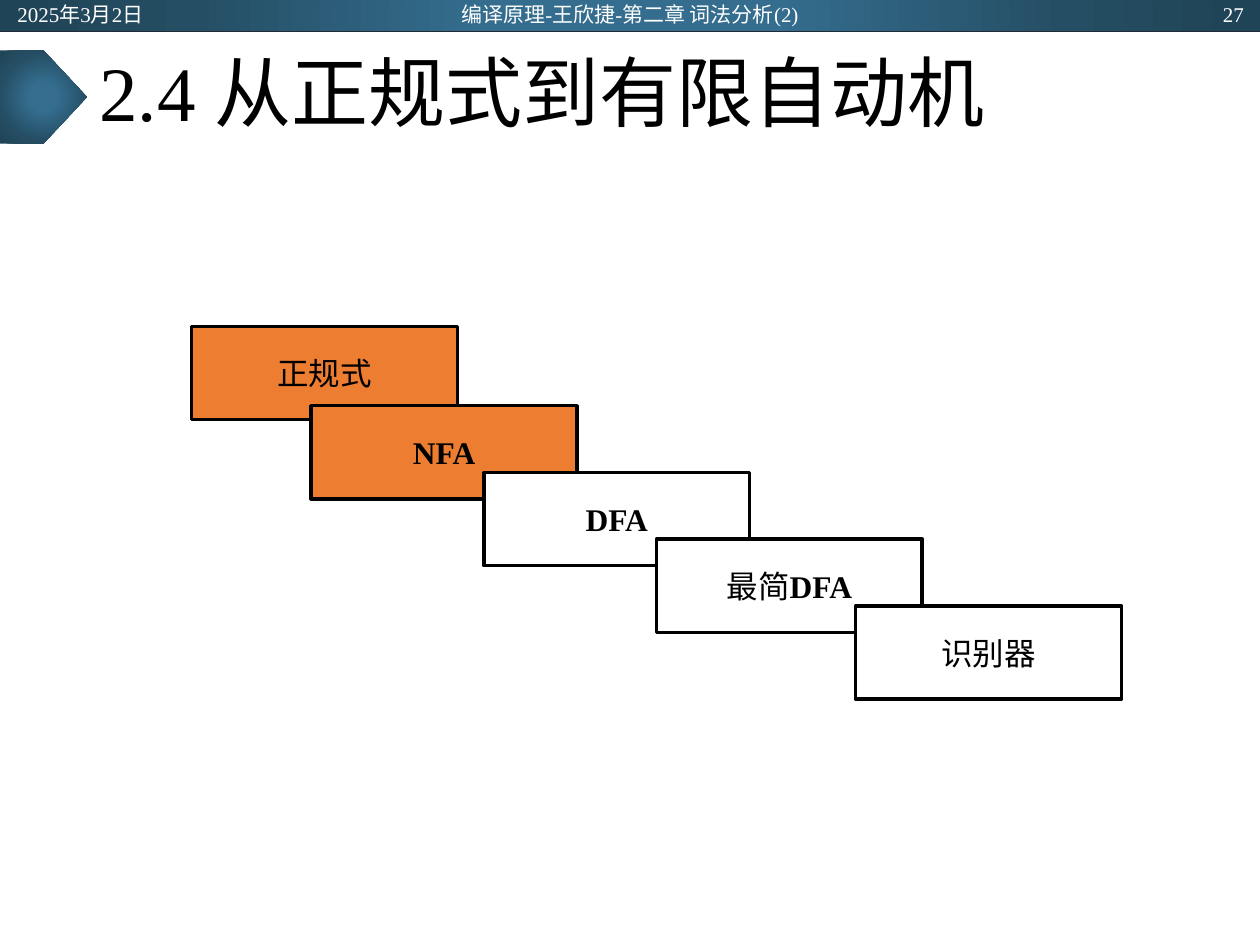
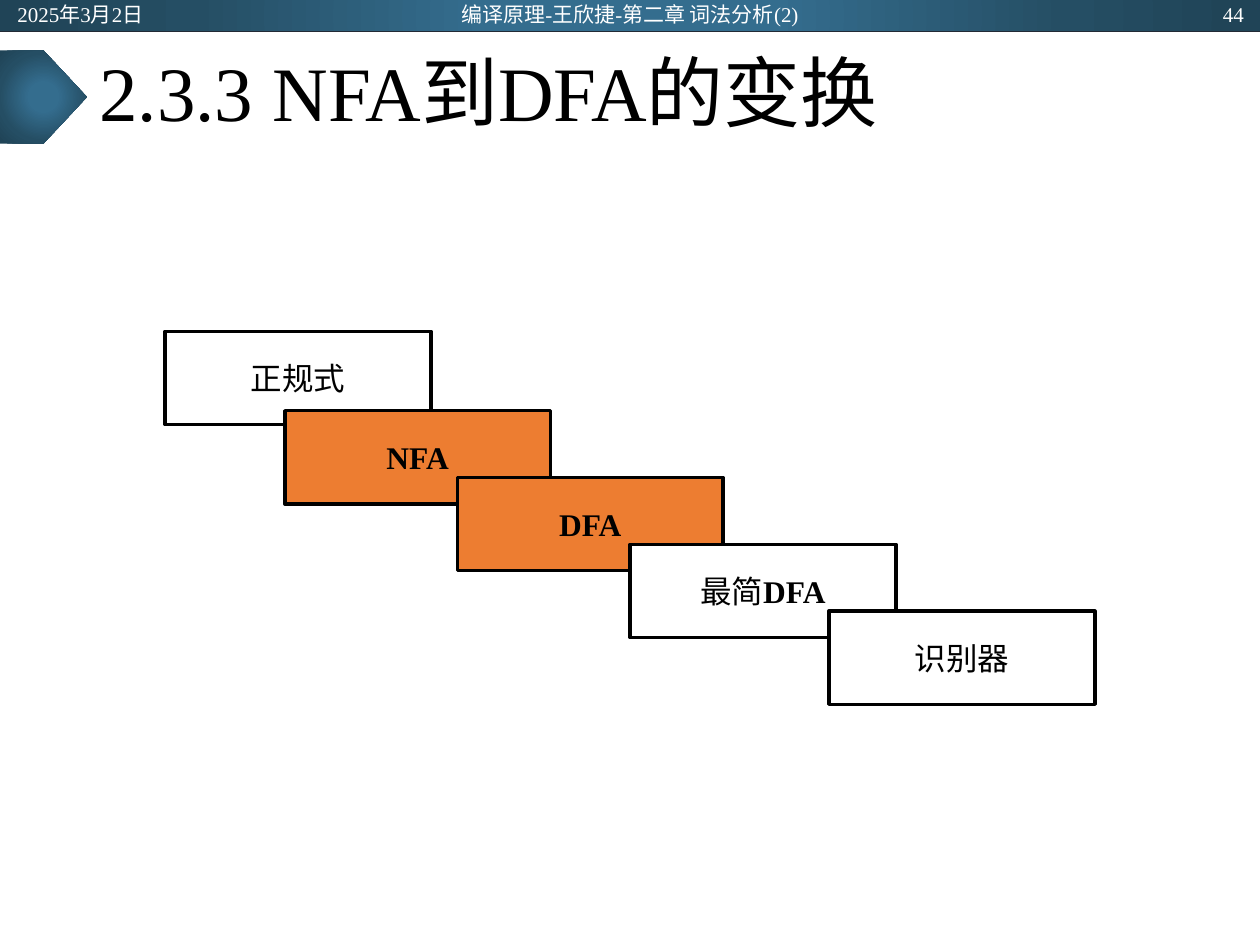
from pptx import Presentation
from pptx.dml.color import RGBColor
from pptx.enum.shapes import MSO_CONNECTOR, MSO_SHAPE
from pptx.enum.text import MSO_ANCHOR, PP_ALIGN
from pptx.oxml import parse_xml
from pptx.oxml.ns import nsdecls
from pptx.util import Inches, Pt

COLORS = {
    "text": "000000",
    "header": "FFFFFF",
    "rule": "222A35",
    "active": "ED7D31",
    "idle": "FFFFFF",
    "outline": "000000",
}
GRADIENT = [(0, "346D8E"), (23, "346D8E"), (69, "254E64"), (97, "204457")]
FONT = "Times New Roman"

# Each stage: runs of its label, and its offset from the first stage.
STAGES = [
    (["正规式"], 0, 0),
    (["NFA"], 0.95, 0.63),
    (["DFA"], 2.32, 1.16),
    (["最简", "DFA"], 3.69, 1.69),
    (["识别器"], 5.27, 2.22),
]
STAGE_WIDTH, STAGE_HEIGHT = 2.11, 0.74


def rgb(name):
    return RGBColor.from_string(COLORS[name])


class Deck:
    def __init__(self):
        self.prs = Presentation()
        self.prs.slide_width, self.prs.slide_height = Inches(10), Inches(7.5)
        self.slide = None

    def new_slide(self, title, number):
        self.slide = self.prs.slides.add_slide(self.prs.slide_layouts[6])
        self.gradient_shape(MSO_SHAPE.RECTANGLE, 0, 0, 10, 0.25)
        self.rule(0.25)
        self.gradient_shape(MSO_SHAPE.PENTAGON, 0, 0.4, 0.69, 0.74)
        self.text(title, 0.69, 0.25, 8.62, 1.04, 44, "text").line_spacing = 0.9
        self.header("2025年3月2日", 0.04, 2.25, PP_ALIGN.LEFT)
        self.header("编译原理-王欣捷-第二章 词法分析(2)", 3.31, 3.38, PP_ALIGN.CENTER)
        self.header(str(number), 7.72, 2.25, PP_ALIGN.RIGHT)

    def gradient_shape(self, kind, x, y, w, h):
        shape = self.slide.shapes.add_shape(
            kind, Inches(x), Inches(y), Inches(w), Inches(h))
        shape.shadow.inherit = False
        shape.line.fill.background()
        stops = "".join(
            f'<a:gs pos="{pos * 1000}"><a:srgbClr val="{color}"/></a:gs>'
            for pos, color in GRADIENT)
        fill = parse_xml(
            f'<a:gradFill {nsdecls("a")} rotWithShape="1"><a:gsLst>{stops}</a:gsLst>'
            '<a:path path="circle">'
            '<a:fillToRect l="50000" t="50000" r="50000" b="50000"/>'
            '</a:path></a:gradFill>')
        shape._element.spPr.insert(2, fill)  # directly after the geometry

    def rule(self, y):
        line = self.slide.shapes.add_connector(
            MSO_CONNECTOR.STRAIGHT, 0, Inches(y), Inches(10), Inches(y))
        line.line.color.rgb = rgb("rule")
        line.line.width = Pt(0.5)
        line._element.spPr.append(parse_xml(f'<a:effectLst {nsdecls("a")}/>'))

    def style(self, paragraph, size, color, align):
        paragraph.alignment = align
        paragraph.font.name = FONT
        paragraph.font.size = Pt(size)
        paragraph.font.color.rgb = rgb(color)

    def text(self, content, x, y, w, h, size, color, align=PP_ALIGN.LEFT):
        frame = self.slide.shapes.add_textbox(
            Inches(x), Inches(y), Inches(w), Inches(h)).text_frame
        frame.word_wrap = True
        frame.vertical_anchor = MSO_ANCHOR.MIDDLE
        frame.margin_top = frame.margin_bottom = 0
        paragraph = frame.paragraphs[0]
        paragraph.text = content
        self.style(paragraph, size, color, align)
        return paragraph

    def header(self, content, x, w, align):
        self.text(content, x, 0.01, w, 0.2, 12, "header", align)

    def stage(self, group, runs, x, y, fill):
        box = group.shapes.add_shape(
            MSO_SHAPE.RECTANGLE, Inches(x), Inches(y),
            Inches(STAGE_WIDTH), Inches(STAGE_HEIGHT))
        box.shadow.inherit = False
        box.fill.solid()
        box.fill.fore_color.rgb = rgb(fill)
        box.line.color.rgb = rgb("outline")
        box.line.width = Pt(2)
        frame = box.text_frame
        frame.word_wrap = False
        frame.vertical_anchor = MSO_ANCHOR.MIDDLE
        frame.margin_left = frame.margin_right = Inches(0.04)
        frame.margin_top = frame.margin_bottom = Inches(0.02)
        paragraph = frame.paragraphs[0]
        self.style(paragraph, 18, "text", PP_ALIGN.CENTER)
        for content in runs:
            run = paragraph.add_run()
            run.text = content
            run.font.bold = content.isascii()

    def staircase(self, left, top, active):
        """Draw the stages stepping down from (left, top), highlighting the active ones."""
        group = self.slide.shapes.add_group_shape()
        for index, (runs, dx, dy) in enumerate(STAGES):
            fill = "active" if index in active else "idle"
            self.stage(group, runs, left + dx, top + dy, fill)


def main():
    deck = Deck()
    deck.new_slide("2.4 从正规式到有限自动机", 27)
    deck.staircase(1.52, 2.59, active=(0, 1))
    deck.new_slide("2.3.3 NFA到DFA的变换", 44)
    deck.staircase(1.31, 2.63, active=(1, 2))
    deck.prs.save("out.pptx")


if __name__ == "__main__":
    main()
